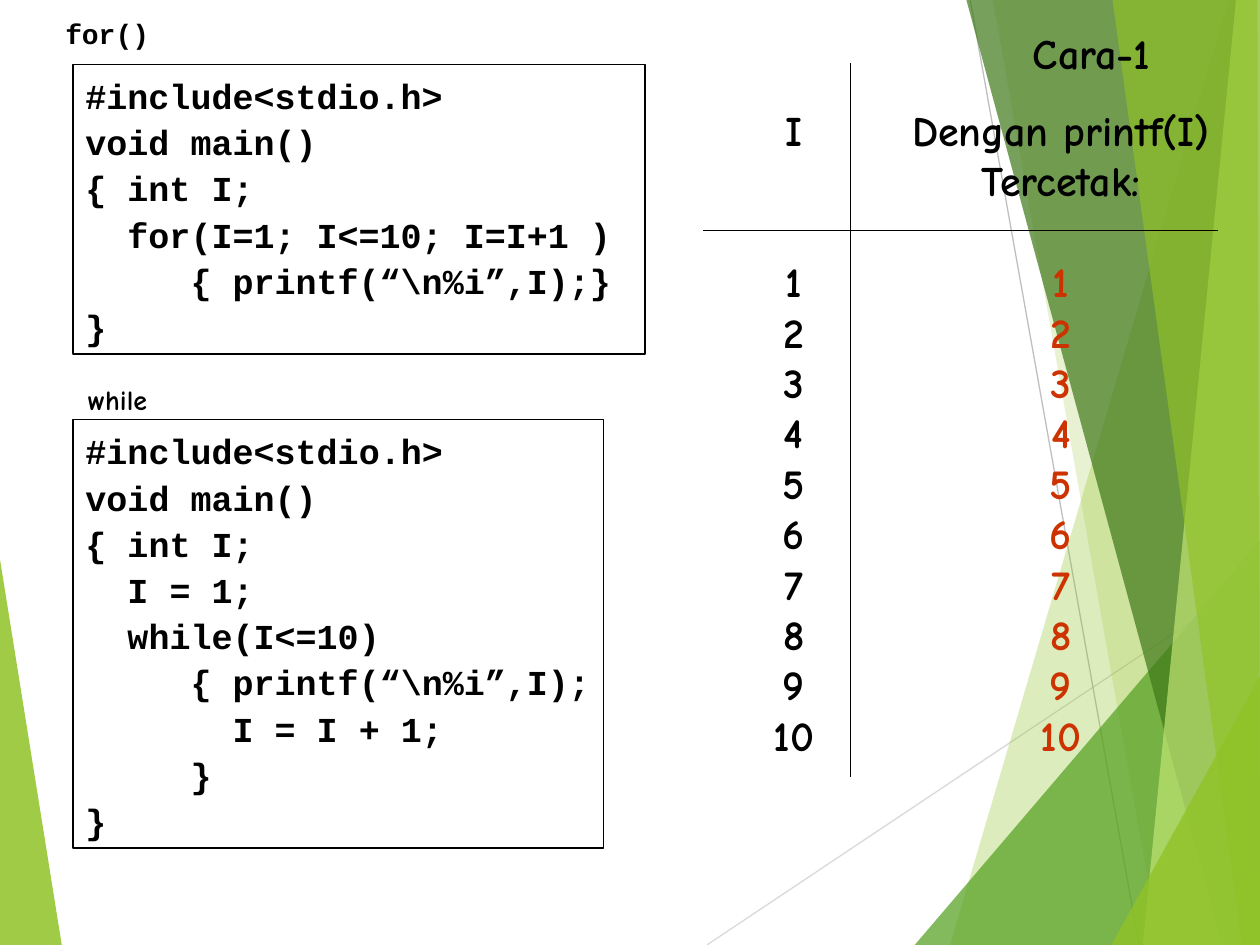
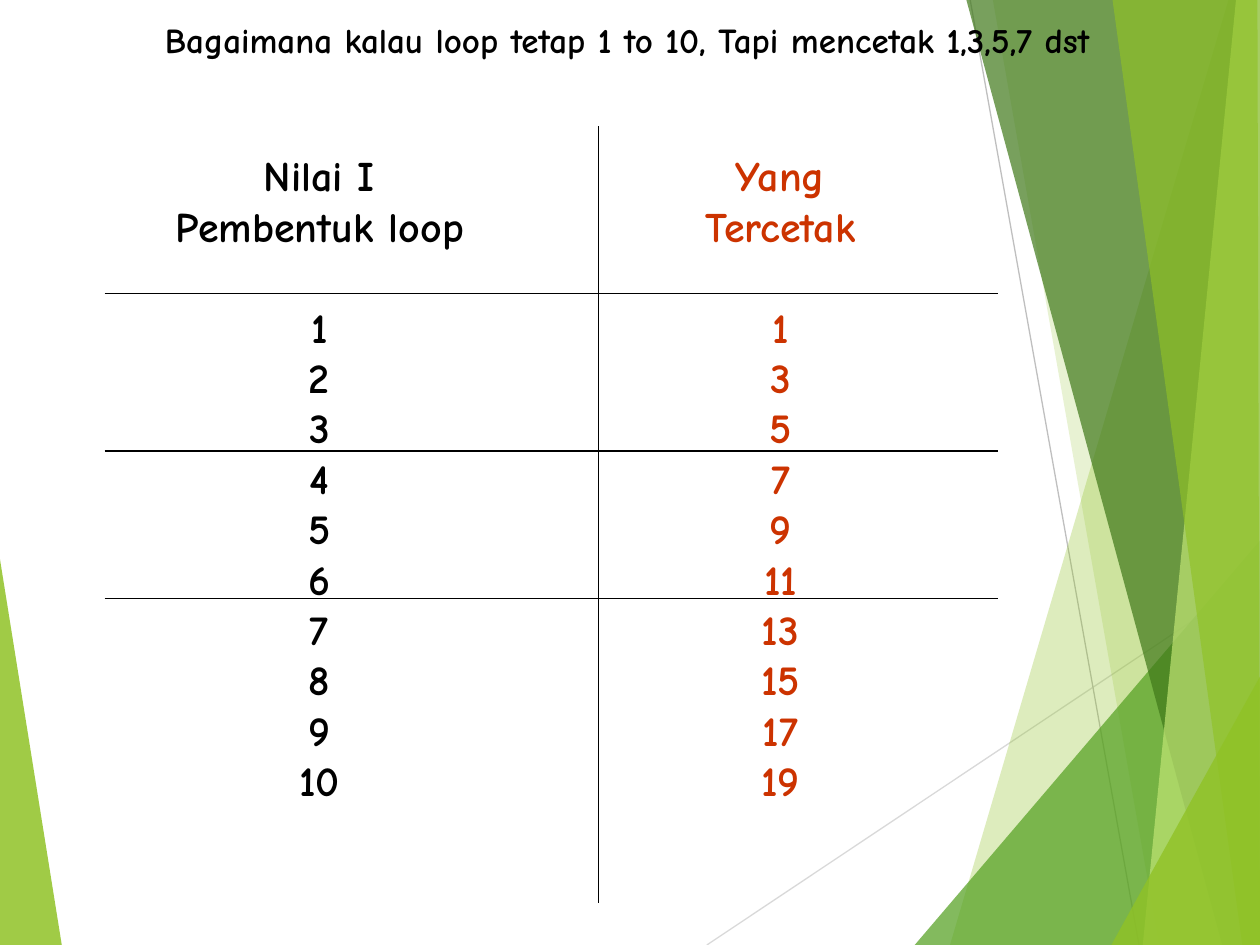
import pptx
import pptx.dml.color
import pptx.enum.shapes
import pptx.enum.text
import pptx.oxml
import pptx.oxml.ns
import pptx.util

Inches = pptx.util.Inches
Pt = pptx.util.Pt
RGBColor = pptx.dml.color.RGBColor

BLACK = RGBColor(0x00, 0x00, 0x00)
RED = RGBColor(0xCC, 0x33, 0x00)
LIME = RGBColor(0x90, 0xC2, 0x26)
GREEN = RGBColor(0x54, 0xA0, 0x21)
DARK_GREEN = RGBColor(0x3F, 0x78, 0x19)
PALE_LIME = RGBColor(0xC0, 0xE4, 0x74)
LIGHT_GREY = RGBColor(0xD9, 0xD9, 0xD9)
GREY = RGBColor(0xBF, 0xBF, 0xBF)

HAND = "Comic Neue"
MONO = "Courier New"
LINE_PITCH = 28.8  # points between lines of 24 pt hand lettering
HEADER_LINES = 3   # lines reserved above the first number of a column

# Colour, opacity in percent, corners in inches
LEFT_FACET = (LIME, 85, [(0, 4.44), (0.49, 7.5), (0, 7.5)])
RIGHT_FACETS = [
    (LIME, 30, [(9.75, 0), (7.54, 7.5), (10, 7.5), (10, 0)]),
    (LIME, 20, [(7.88, 0), (9.2, 7.5), (10, 7.5), (10, 0)]),
    (GREEN, 72, [(7.26, 7.5), (10, 4.29), (10, 7.5)]),
    (DARK_GREEN, 70, [(7.67, 0), (9.7, 7.5), (10, 7.5), (10, 0)]),
    (PALE_LIME, 70, [(9.81, 0), (9.07, 7.5), (10, 7.5), (10, 0)]),
    (LIME, 65, [(8.83, 0), (9.86, 7.5), (10, 7.5), (9.98, 0)]),
    (LIME, 80, [(8.82, 7.5), (10, 5.37), (10, 7.5)]),
]

FOR_CODE = """#include<stdio.h>
void main()
{ int I;
  for(I=1; I<=10; I=I+1 )
     { printf(“\\n%i”,I);}
}"""

WHILE_CODE = """#include<stdio.h>
void main()
{ int I;
  I = 1;
  while(I<=10)
     { printf(“\\n%i”,I);
       I = I + 1;
     }
}"""


def add_line(slide, x1, y1, x2, y2, color=BLACK):
    line = slide.shapes.add_connector(
        pptx.enum.shapes.MSO_CONNECTOR.STRAIGHT,
        Inches(x1), Inches(y1), Inches(x2), Inches(y2))
    line.line.color.rgb = color
    line.line.width = Pt(0.75)
    line._element.spPr.append(pptx.oxml.parse_xml(
        "<a:effectLst %s/>" % pptx.oxml.ns.nsdecls("a")))


def add_facet(slide, color, opacity, corners):
    start, *rest = [(Inches(x), Inches(y)) for x, y in corners]
    builder = slide.shapes.build_freeform(*start)
    builder.add_line_segments(rest, close=True)
    sp = builder.convert_to_shape()
    sp.shadow.inherit = False
    sp.line.fill.background()
    sp.fill.solid()
    sp.fill.fore_color.rgb = color
    clr = sp._element.spPr.find(".//" + pptx.oxml.ns.qn("a:srgbClr"))
    clr.append(pptx.oxml.parse_xml('<a:alpha %s val="%d"/>' % (
        pptx.oxml.ns.nsdecls("a"), opacity * 1000)))


def add_backdrop(slide):
    add_facet(slide, *LEFT_FACET)
    add_line(slide, 5.61, 7.5, 10, 4.57, LIGHT_GREY)
    add_line(slide, 7.7, 0, 9.04, 7.5, GREY)
    for facet in RIGHT_FACETS:
        add_facet(slide, *facet)


def write_line(tf, index, text, size, font=HAND, color=BLACK):
    """Write one bold paragraph and return it."""
    p = tf.paragraphs[0] if index == 0 else tf.add_paragraph()
    p.alignment = pptx.enum.text.PP_ALIGN.LEFT
    r = p.add_run()
    r.text = text
    r.font.name = font
    r.font.size = Pt(size)
    r.font.bold = True
    r.font.color.rgb = color
    return p


def fit_frame(sp):
    tf = sp.text_frame
    tf.word_wrap = False
    tf.auto_size = pptx.enum.text.MSO_AUTO_SIZE.SHAPE_TO_FIT_TEXT
    tf.vertical_anchor = pptx.enum.text.MSO_ANCHOR.TOP
    return tf


def add_text_frame(slide, box):
    return fit_frame(slide.shapes.add_textbox(*map(Inches, box)))


def add_label(slide, box, text, size, font=HAND):
    write_line(add_text_frame(slide, box), 0, text, size, font)


def add_code_box(slide, box, code):
    sp = slide.shapes.add_shape(
        pptx.enum.shapes.MSO_SHAPE.RECTANGLE, *map(Inches, box))
    sp.shadow.inherit = False
    sp.fill.background()
    sp.line.color.rgb = BLACK
    sp.line.width = Pt(0.75)
    tf = fit_frame(sp)
    for i, text in enumerate(code.split("\n")):
        write_line(tf, i, text, 20, MONO).line_spacing = 1.1


def add_number_column(slide, box, header, numbers,
                      header_color=BLACK, number_color=BLACK):
    tf = add_text_frame(slide, box)
    lines = [(text, header_color) for text in header]
    lines += [(str(n), number_color) for n in numbers]
    for i, (text, color) in enumerate(lines):
        p = write_line(tf, i, text, 24, color=color)
        p.alignment = pptx.enum.text.PP_ALIGN.CENTER
        if i == len(header):
            p.space_before = Pt((HEADER_LINES - len(header)) * LINE_PITCH)


def add_grid(slide, left, top, right, bottom, divider, rules):
    """Draw a vertical divider crossed by horizontal rules."""
    for y in rules:
        add_line(slide, left, y, right, y)
    add_line(slide, divider, top, divider, bottom)


def build_loop_slide(slide):
    add_backdrop(slide)
    add_code_box(slide, (0.58, 0.51, 4.54, 2.3), FOR_CODE)
    add_label(slide, (0.42, 0.08, 0.9, 0.37), "for()", 16, MONO)
    add_code_box(slide, (0.58, 3.33, 4.21, 3.4), WHILE_CODE)
    add_label(slide, (0.6, 2.99, 0.67, 0.37), "while", 16)
    add_label(slide, (8.1, 0.17, 1.14, 0.5), "Cara-1", 24)
    add_number_column(slide, (6.04, 0.78, 0.52, 5.3), ["I"], range(1, 11))
    add_number_column(slide, (7.14, 0.78, 2.56, 5.3),
                      ["Dengan printf(I)", "Tercetak:"], range(1, 11),
                      number_color=RED)
    add_grid(slide, 5.58, 0.5, 9.67, 6.17, divider=6.75, rules=[1.83])


def build_odd_numbers_slide(slide):
    add_backdrop(slide)
    add_number_column(slide, (5.48, 1.14, 1.43, 5.3),
                      ["Yang", "Tercetak"], range(1, 20, 2), RED, RED)
    add_number_column(slide, (1.29, 1.14, 2.49, 5.3),
                      ["Nilai I", "Pembentuk loop"], range(1, 11))
    add_grid(slide, 0.83, 1, 7.92, 7.17, divider=4.75,
             rules=[2.33, 3.58, 4.75])
    add_label(slide, (1.21, 0.1, 7.59, 0.44),
              "Bagaimana kalau loop tetap 1 to 10, Tapi mencetak 1,3,5,7 dst",
              20)


def main():
    prs = pptx.Presentation()
    prs.slide_width = Inches(10)
    prs.slide_height = Inches(7.5)
    blank = prs.slide_layouts[6]
    for build in (build_loop_slide, build_odd_numbers_slide):
        build(prs.slides.add_slide(blank))
    prs.save("out.pptx")


if __name__ == "__main__":
    main()
